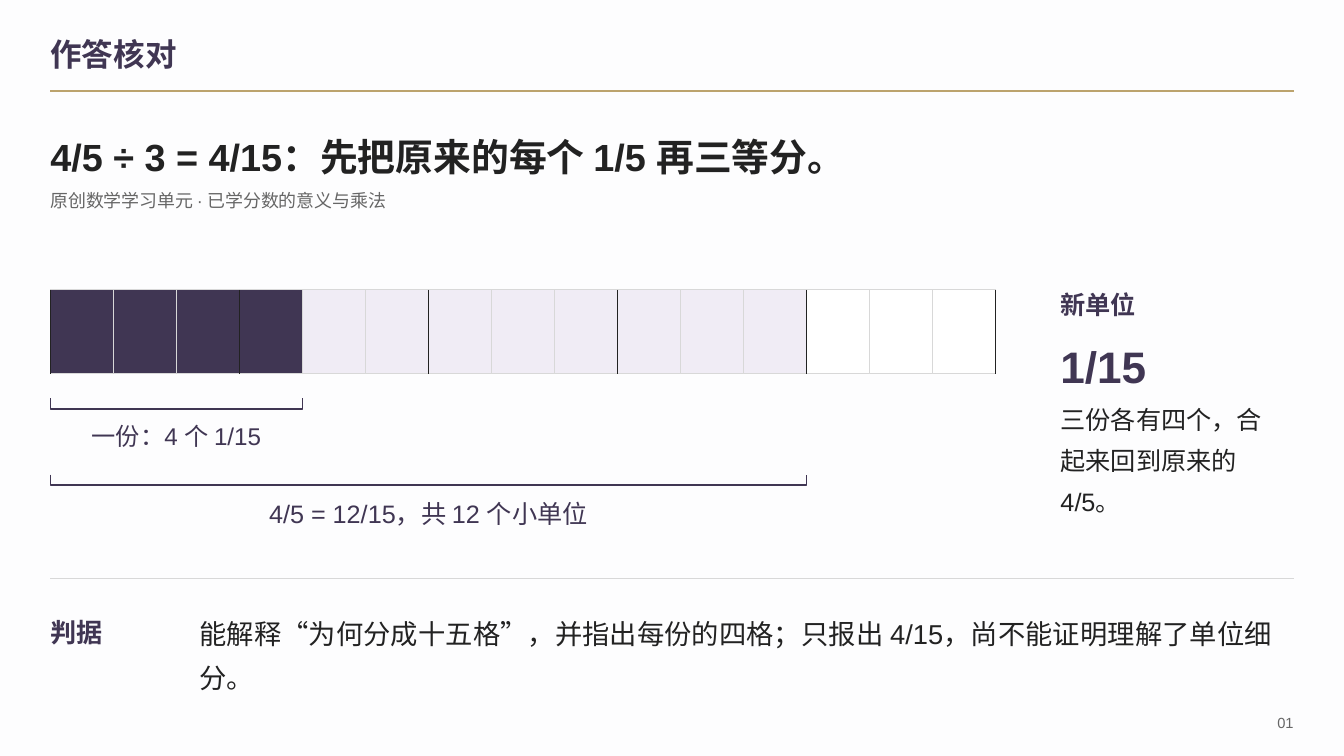
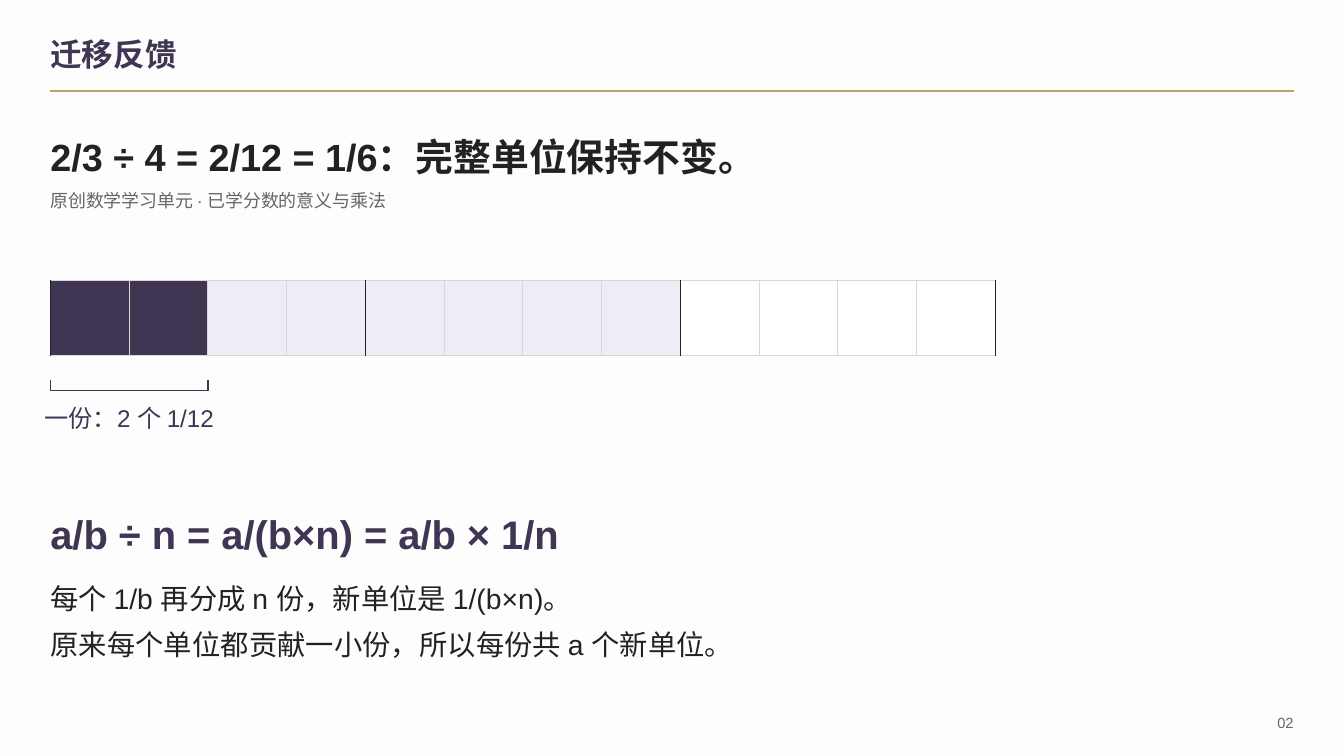
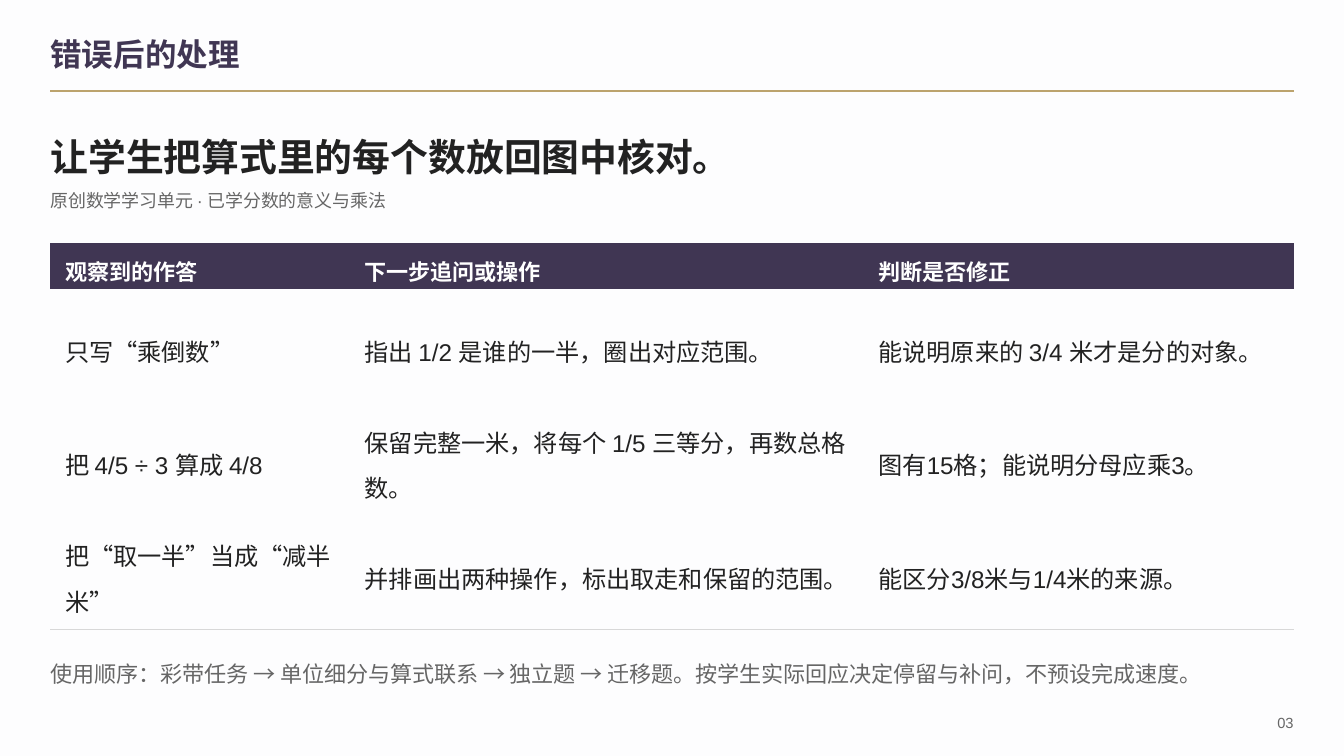
from lxml import etree
from pptx import Presentation
from pptx.dml.color import RGBColor
from pptx.enum.shapes import MSO_CONNECTOR, MSO_SHAPE
from pptx.enum.text import MSO_ANCHOR, MSO_AUTO_SIZE, PP_ALIGN
from pptx.oxml.ns import qn
from pptx.util import Pt

LEFT, CENTER, RIGHT = PP_ALIGN.LEFT, PP_ALIGN.CENTER, PP_ALIGN.RIGHT
TOP, MIDDLE = MSO_ANCHOR.TOP, MSO_ANCHOR.MIDDLE
RECTANGLE = MSO_SHAPE.RECTANGLE
STRAIGHT = MSO_CONNECTOR.STRAIGHT
GROW = MSO_AUTO_SIZE.SHAPE_TO_FIT_TEXT

PLUM = RGBColor(0x40, 0x36, 0x53)
LILAC = RGBColor(0xF0, 0xEC, 0xF5)
GOLD = RGBColor(0xBC, 0xA3, 0x6D)
INK = RGBColor(0x22, 0x22, 0x22)
MUTED = RGBColor(0x66, 0x66, 0x66)
RULE = RGBColor(0xD8, 0xD8, 0xD8)
WHITE = RGBColor(0xFF, 0xFF, 0xFF)
PAPER = RGBColor(0xFD, 0xFD, 0xFE)

FONT = "Arial"
NO_STYLE = "{2D5ABB26-0587-4C30-8999-92F81FD0307C}"
MARGIN = 36
CONTENT_WIDTH = 888
BAR_WIDTH = 675
SUBTITLE = "原创数学学习单元 · 已学分数的意义与乘法"


def add_text(page, frame, lines, size, color, bold=False, align=LEFT,
             spacing=1.35, anchor=TOP, box=None):
    """Write lines into box, or into a new text box, placed at frame."""
    box = box or page.shapes.add_textbox(0, 0, 0, 0)
    box.left, box.top, box.width, box.height = [Pt(value) for value in frame]
    text = box.text_frame
    text.word_wrap = True
    text.auto_size = GROW
    text.vertical_anchor = anchor
    text.margin_left = text.margin_right = text.margin_top = text.margin_bottom = 0
    for index, line in enumerate(lines):
        para = text.add_paragraph() if index else text.paragraphs[0]
        para.alignment = align
        para.line_spacing = spacing
        span = para.add_run()
        span.text = line
        span.font.name = FONT
        span.font.size = Pt(size)
        span.font.bold = bold
        span.font.color.rgb = color


def add_line(page, x1, y1, x2, y2, color, width):
    line = page.shapes.add_connector(STRAIGHT, Pt(x1), Pt(y1), Pt(x2), Pt(y2))
    line.line.color.rgb = color
    line.line.width = Pt(width)
    etree.SubElement(line._element.spPr, qn("a:effectLst"))


deck = Presentation()
deck.slide_width, deck.slide_height = Pt(960), Pt(540)
background = deck.slide_master.background.fill
background.solid()
background.fore_color.rgb = PAPER

# Title, rule, headline, subtitle and page number of every slide
headings = [
    ("作答核对", "4/5 ÷ 3 = 4/15：先把原来的每个 1/5 再三等分。"),
    ("迁移反馈", "2/3 ÷ 4 = 2/12 = 1/6：完整单位保持不变。"),
    ("错误后的处理", "让学生把算式里的每个数放回图中核对。"),
]
title_only = deck.slide_layouts[5]
pages = []
for number, (title, headline) in enumerate(headings, start=1):
    page = deck.slides.add_slide(title_only)
    pages.append(page)
    add_line(page, MARGIN, 65, MARGIN + CONTENT_WIDTH, 65, GOLD, 1)
    add_text(page, (MARGIN, 22.5, 757.5, 32), [title], 22.5, PLUM, bold=True,
             spacing=1.0, anchor=MIDDLE, box=page.shapes.title)
    add_text(page, (MARGIN, 84, CONTENT_WIDTH, 41), [headline], 27, INK, bold=True)
    add_text(page, (MARGIN, 128, CONTENT_WIDTH, 24), [SUBTITLE], 12.75, MUTED,
             spacing=1.5)
    add_text(page, (892.5, 507.5, 31.5, 18), [f"{number:02d}"], 10.5, MUTED,
             align=RIGHT, spacing=1.0, anchor=MIDDLE)
check_page, transfer_page, repair_page = pages

# Fraction bars: page, top, height, cells, one share, dividend, cells per unit,
# then brackets as gap below the bar, cells spanned, label, label size
bars = [
    (check_page, 207, 60, 15, 4, 12, 3,
     [(17.5, 4, "一份：4 个 1/15", 17.25),
      (72, 12, "4/5 = 12/15，共 12 个小单位", 18)]),
    (transfer_page, 200, 54, 12, 2, 8, 4,
     [(17.5, 2, "一份：2 个 1/12", 17.25)]),
]
for page, top, height, cells, share, dividend, unit, brackets in bars:
    cell_width = BAR_WIDTH / cells
    bottom = top + height
    for index in range(cells):
        cell = page.shapes.add_shape(RECTANGLE, Pt(MARGIN + index * cell_width),
                                     Pt(top), Pt(cell_width), Pt(height))
        cell.shadow.inherit = False
        cell.fill.solid()
        cell.fill.fore_color.rgb = (PLUM if index < share else
                                    LILAC if index < dividend else WHITE)
        cell.line.color.rgb = RULE
        cell.line.width = Pt(0.56)
    for index in range(0, cells + 1, unit):
        x = MARGIN + index * cell_width
        add_line(page, x, top, x, bottom, INK, 0.97)
    for gap, spanned, label, size in brackets:
        span_width = spanned * cell_width
        right = MARGIN + span_width
        arm_top = bottom + gap
        arm_bottom = arm_top + 7.5
        outline = page.shapes.build_freeform(Pt(MARGIN), Pt(arm_top))
        outline.add_line_segments(
            [(Pt(MARGIN), Pt(arm_bottom)), (Pt(right), Pt(arm_bottom)),
             (Pt(right), Pt(arm_top))], close=False)
        bracket = outline.convert_to_shape()
        bracket.shadow.inherit = False
        bracket.fill.background()
        bracket.line.color.rgb = PLUM
        bracket.line.width = Pt(1.12)
        label_width = max(span_width, 184)
        label_left = MARGIN + (span_width - label_width) / 2
        add_text(page, (label_left, arm_bottom + 5, label_width, 25), [label],
                 size, PLUM, align=CENTER, spacing=1.2)

# Slide 1: new unit and criterion
add_text(check_page, (757.5, 199, 150, 29), ["新单位"], 18, PLUM, bold=True)
add_text(check_page, (757.5, 229, 150, 47), ["1/15"], 31.5, PLUM, bold=True)
add_text(check_page, (757.5, 281.5, 154, 77),
         ["三份各有四个，合起来回到原来的 4/5。"], 18, INK)
add_line(check_page, MARGIN, 413.5, MARGIN + CONTENT_WIDTH, 413.5, RULE, 0.75)
add_text(check_page, (MARGIN, 432.5, 90, 30), ["判据"], 18.75, PLUM, bold=True)
add_text(check_page, (142.5, 432.5, 780, 57),
         ["能解释“为何分成十五格”，并指出每份的四格；只报出 4/15，尚不能证明理解了单位细分。"],
         19.5, INK)

# Slide 2: general rule
add_text(transfer_page, (MARGIN, 352, CONTENT_WIDTH, 43),
         ["a/b ÷ n = a/(b×n) = a/b × 1/n"], 28.5, PLUM, bold=True)
add_text(transfer_page, (MARGIN, 407, CONTENT_WIDTH, 59),
         ["每个 1/b 再分成 n 份，新单位是 1/(b×n)。",
          "原来每个单位都贡献一小份，所以每份共 a 个新单位。"], 20.25, INK)

# Slide 3: table of responses
rows = [
    ("观察到的作答", "下一步追问或操作", "判断是否修正"),
    ("只写“乘倒数”", "指出 1/2 是谁的一半，圈出对应范围。",
     "能说明原来的 3/4 米才是分的对象。"),
    ("把 4/5 ÷ 3 算成 4/8", "保留完整一米，将每个 1/5 三等分，再数总格数。",
     "图有15格；能说明分母应乘3。"),
    ("把“取一半”当成“减半米”", "并排画出两种操作，标出取走和保留的范围。",
     "能区分3/8米与1/4米的来源。"),
]
column_widths = [214, 367, 307]
row_heights = [33, 81, 81, 81]
table = repair_page.shapes.add_table(
    len(rows), len(column_widths), Pt(MARGIN), Pt(173.5),
    Pt(CONTENT_WIDTH), Pt(sum(row_heights))).table
table.horz_banding = False
table._tbl.tblPr.find(qn("a:tableStyleId")).text = NO_STYLE
for column, width in zip(table.columns, column_widths):
    column.width = Pt(width)
for row_index, (texts, height) in enumerate(zip(rows, row_heights)):
    table.rows[row_index].height = Pt(height)
    header = row_index == 0
    for column_index, words in enumerate(texts):
        cell = table.cell(row_index, column_index)
        cell.vertical_anchor = MIDDLE
        cell.margin_left = cell.margin_right = Pt(10.5)
        cell.margin_top = cell.margin_bottom = 0
        para = cell.text_frame.paragraphs[0]
        para.line_spacing = 1.3
        span = para.add_run()
        span.text = words
        span.font.name = FONT
        span.font.size = Pt(15.75 if header else 17.25)
        span.font.bold = header
        span.font.color.rgb = WHITE if header else INK
        if row_index == len(rows) - 1:
            properties = cell._tc.get_or_add_tcPr()
            border = etree.SubElement(properties, qn("a:lnB"), w=str(Pt(0.75)))
            paint = etree.SubElement(border, qn("a:solidFill"))
            etree.SubElement(paint, qn("a:srgbClr"), val=str(RULE))
        if header:
            cell.fill.solid()
            cell.fill.fore_color.rgb = PLUM
        else:
            cell.fill.background()
add_text(repair_page, (MARGIN, 465, CONTENT_WIDTH, 26),
         ["使用顺序：彩带任务 → 单位细分与算式联系 → 独立题 → 迁移题。"
          "按学生实际回应决定停留与补问，不预设完成速度。"], 15.75, MUTED)

deck.save("out.pptx")
